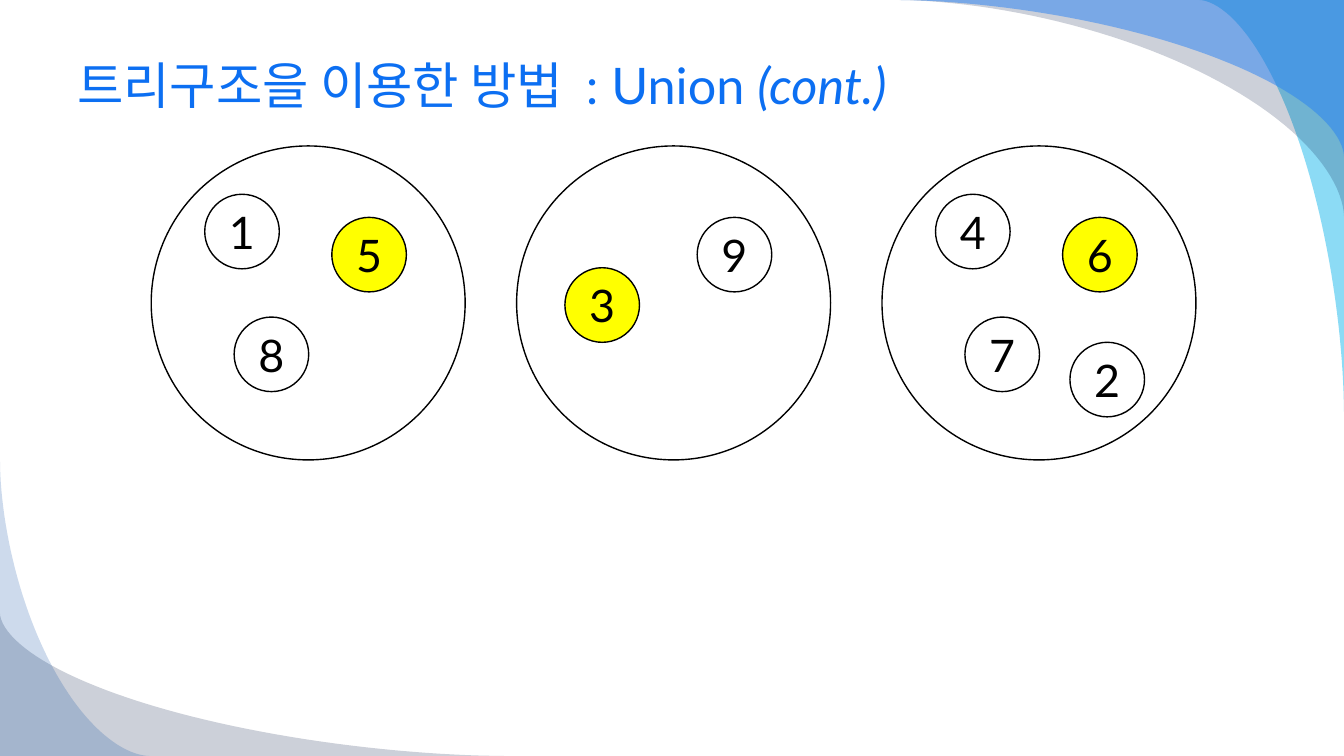
import math
import pptx
import pptx.util
import pptx.dml.color
import pptx.enum.shapes
import pptx.enum.text
import pptx.oxml
import pptx.oxml.ns

HUES = {"title": "0C6FF2", "ink": "000000", "plain": "FFFFFF", "root": "FFFF00",
        "cyan": "00B1E9", "navy": "021741", "blue": "247FF4", "deep": "084AA1"}
WIDE, HIGH = 1280, 720


class Deck:
    font = "Lato"
    scale = 9525  # EMU in one px
    curve = 1.75  # power of the rounded corner bands
    steps = 48

    def __init__(self):
        self.file = pptx.Presentation()
        self.file.slide_width = self.px(WIDE)
        self.file.slide_height = self.px(HIGH)
        self.slide = self.file.slides.add_slide(self.file.slide_layouts[6])

    def px(self, size):
        return pptx.util.Emu(size * self.scale)

    def hue(self, name):
        return pptx.dml.color.RGBColor.from_string(HUES[name])

    def paint(self, shape, fill):
        shape.shadow.inherit = False
        shape.fill.solid()
        shape.fill.fore_color.rgb = self.hue(fill)

    def label(self, para, text, hue, **style):
        run = para.add_run()
        run.text = text
        run.font.color.rgb = self.hue(hue)
        for key, value in {"name": self.font, **style}.items():
            setattr(run.font, key, value)
        return run

    def band(self, x, y, wide, high, fill, alpha):
        """Fill a page corner out to a curve; signs of the sizes give the direction."""
        turns = [math.pi / 2 * i / self.steps for i in range(self.steps + 1)]
        power = 2 / self.curve
        edge = [(round((x + wide * (1 - abs(math.sin(t)) ** power)) * self.scale),
                 round((y + high * (1 - abs(math.cos(t)) ** power)) * self.scale))
                for t in turns]
        pen = self.slide.shapes.build_freeform(self.px(x), self.px(y))
        pen.add_line_segments(edge)
        shape = pen.convert_to_shape()
        self.paint(shape, fill)
        shape.line.fill.background()
        tint = shape._element.spPr.find(".//" + pptx.oxml.ns.qn("a:srgbClr"))
        clear = pptx.oxml.parse_xml(
            f'<a:alpha {pptx.oxml.ns.nsdecls("a")} val="{alpha * 1000}"/>')
        tint.append(clear)

    def title(self, x, y, wide, high, parts):
        box = self.slide.shapes.add_textbox(*map(self.px, (x, y, wide, high)))
        frame = box.text_frame
        frame.word_wrap = True
        frame.vertical_anchor = pptx.enum.text.MSO_ANCHOR.MIDDLE
        for text, slant, gap in parts:
            run = self.label(frame.paragraphs[0], text, "title",
                             size=pptx.util.Pt(36), italic=slant)
            if gap:
                run._r.get_or_add_rPr().set("spc", str(gap * 100))

    def disc(self, x, y, size, fill="plain", text=""):
        shape = self.slide.shapes.add_shape(
            pptx.enum.shapes.MSO_SHAPE.OVAL, *map(self.px, (x, y, size, size)))
        self.paint(shape, fill)
        shape.line.color.rgb = self.hue("ink")
        shape.line.width = pptx.util.Pt(1)
        if text:
            frame = shape.text_frame
            frame.word_wrap = False
            frame.vertical_anchor = pptx.enum.text.MSO_ANCHOR.MIDDLE
            para = frame.paragraphs[0]
            para.alignment = pptx.enum.text.PP_ALIGN.CENTER
            self.label(para, text, "ink", size=pptx.util.Pt(32))


def main():
    deck = Deck()

    # Corner bands
    for band in [(WIDE, 0, -138, 392, "cyan", 45),
                 (WIDE, 0, -426, 206, "navy", 20),
                 (WIDE, 0, -426, 149, "blue", 49),
                 (0, HIGH, 480, -136, "navy", 20),
                 (0, HIGH, 142, -280, "deep", 20)]:
        deck.band(*band)

    # Title, with a wider gap before the colon
    deck.title(64, 32, 1152, 97, [("트리구조을 이용한 방법", False, 0), (" ", False, 8),
                                  (": Union ", False, 0), ("(cont.)", True, 0)])

    # Sets: places of the members inside each circle
    spots = {"left": (51, 46), "right": (172, 68), "low": (79, 163),
             "mid": (46, 116), "end": (179, 187)}
    sets = [{"1": "left", "5": "right", "8": "low"},
            {"9": "right", "3": "mid"},
            {"4": "left", "6": "right", "7": "low", "2": "end"}]
    roots = "536"
    left, top, step = 144, 139, 348
    for i, group in enumerate(sets):
        x = left + i * step
        deck.disc(x, top, 299)
        for text, spot in group.items():
            dx, dy = spots[spot]
            fill = "root" if text in roots else "plain"
            deck.disc(x + dx, top + dy, 71, fill, text)

    deck.file.save("out.pptx")


if __name__ == "__main__":
    main()
